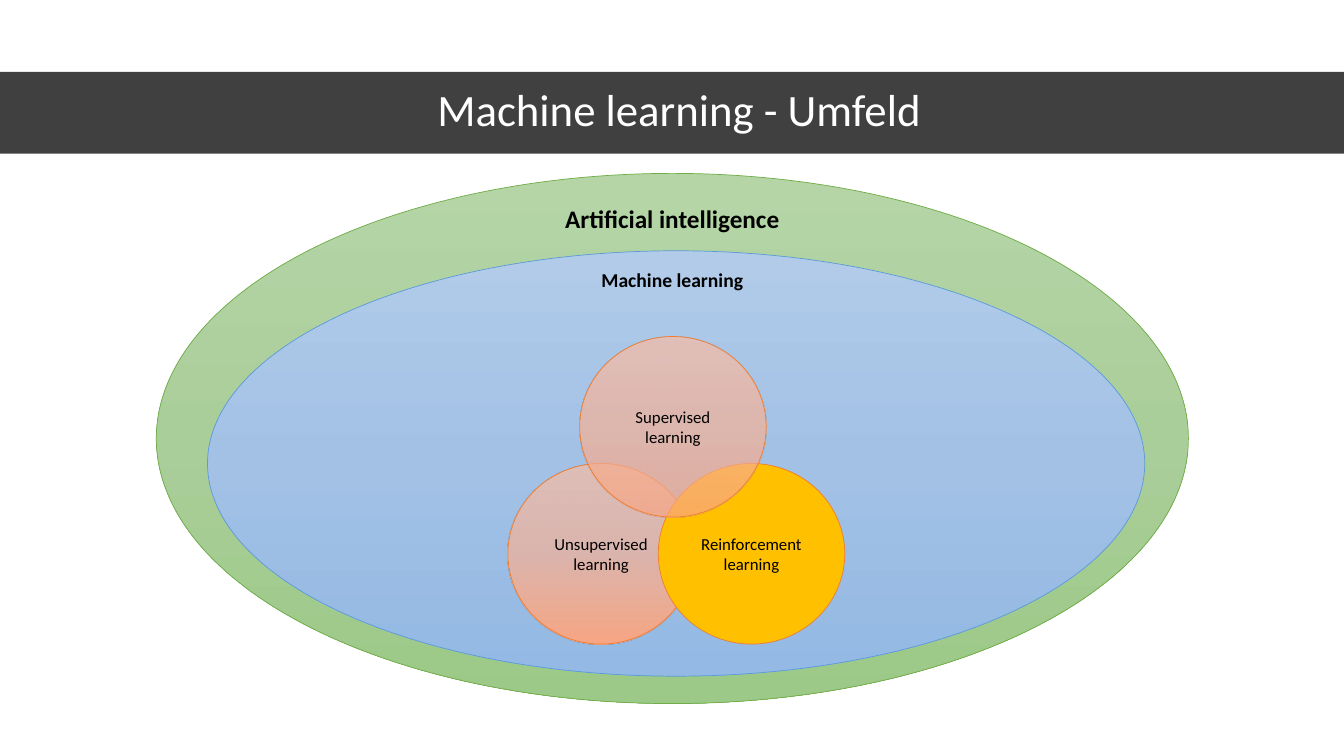
from dataclasses import dataclass
from typing import Optional

from lxml import etree
from pptx import Presentation
from pptx.dml.color import RGBColor
from pptx.enum import shapes, text
from pptx.oxml import ns
from pptx.util import Cm, Pt

COLORS = {
    "black": "000000", "white": "FFFFFF", "amber": "FFC000",
    "green": "70AD47", "blue": "5B9BD5", "orange": "ED7D31",
}
FONT = "Calibri"
CIRCLE_W, CIRCLE_H = 4.7, 4.55


@dataclass
class Stop:
    color: str
    opacity: int = 100


@dataclass
class Oval:
    left: float
    top: float
    width: float
    height: float
    line: str
    stops: list[Stop]
    label: str = ""


@dataclass
class Label:
    left: float
    top: float
    width: float
    height: float
    content: str
    size: int
    color: str = "black"
    bold: bool = False
    spacing: Optional[float] = None
    anchor: text.MSO_ANCHOR = text.MSO_ANCHOR.TOP


GREENS = [Stop("B5D5A7"), Stop("AACE9A"), Stop("9CC987")]
BLUES = [Stop("B1CBE9"), Stop("A3C1E5"), Stop("93B9E4")]
PEACH = [Stop("F7BDA5", 70), Stop("F5B196", 70)]

# Ovals from back to front, with their lengths in centimetres
FIELDS = [
    Oval(3.94, 4.37, 26.01, 13.36, "green", GREENS),
    Oval(5.23, 6.32, 23.62, 10.72, "blue", BLUES),
]
METHODS = [
    Oval(12.8, 11.68, CIRCLE_W, CIRCLE_H, "orange",
         PEACH + [Stop("F8A582")], "Unsupervised learning"),
    Oval(16.59, 11.68, CIRCLE_W, CIRCLE_H, "orange",
         [Stop(COLORS["amber"])], "Reinforcement learning"),
    Oval(14.61, 8.48, CIRCLE_W, CIRCLE_H, "orange",
         PEACH + [Stop("F8A582", 70)], "Supervised learning"),
]
LABELS = [
    Label(13.59, 5.0, 6.71, 1.02, "Artificial intelligence", 18, bold=True),
    Label(13.59, 6.63, 6.71, 0.86, "Machine learning", 14, bold=True),
    Label(1.55, 1.78, 31.14, 2.06, "Machine learning - Umfeld", 32, "white",
          spacing=0.9, anchor=text.MSO_ANCHOR.MIDDLE),
]


def set_opacity(color_element, opacity: int) -> None:
    if opacity < 100:
        etree.SubElement(color_element, ns.qn("a:alpha"), val=str(opacity * 1000))


def fill_shape(sp, stops: list[Stop]) -> None:
    """Fill with one solid colour, or with an even gradient from top to bottom."""
    if len(stops) == 1:
        sp.fill.solid()
        sp.fill.fore_color.rgb = RGBColor.from_string(stops[0].color)
        set_opacity(sp.fill._xPr.find(".//" + ns.qn("a:srgbClr")), stops[0].opacity)
        return
    sp.fill.gradient()
    grad = sp.fill._xPr.find(ns.qn("a:gradFill"))
    grad.find(ns.qn("a:lin")).set("ang", "5400000")
    stop_list = grad.find(ns.qn("a:gsLst"))
    for old in list(stop_list):
        stop_list.remove(old)
    for i, stop in enumerate(stops):
        pos = str(i * 100000 // (len(stops) - 1))
        gs = etree.SubElement(stop_list, ns.qn("a:gs"), pos=pos)
        clr = etree.SubElement(gs, ns.qn("a:srgbClr"), val=stop.color)
        set_opacity(clr, stop.opacity)


def write_text(sp, content: str, size: int, color: str = "black",
               bold: bool = False, spacing: Optional[float] = None,
               anchor: text.MSO_ANCHOR = text.MSO_ANCHOR.MIDDLE) -> None:
    tf = sp.text_frame
    tf.word_wrap = True
    tf.vertical_anchor = anchor
    p = tf.paragraphs[0]
    p.text = content
    p.alignment = text.PP_ALIGN.CENTER
    p.line_spacing = spacing
    p.font.name, p.font.size, p.font.bold = FONT, Pt(size), bold
    p.font.color.rgb = RGBColor.from_string(COLORS[color])


def add_oval(slide, oval: Oval) -> None:
    sp = slide.shapes.add_shape(
        shapes.MSO_SHAPE.OVAL, Cm(oval.left), Cm(oval.top),
        Cm(oval.width), Cm(oval.height))
    sp.shadow.inherit = False
    fill_shape(sp, oval.stops)
    sp.line.color.rgb = RGBColor.from_string(COLORS[oval.line])
    sp.line.width = Pt(0.5)
    if oval.label:
        write_text(sp, oval.label, 12)


def add_label(slide, label: Label) -> None:
    sp = slide.shapes.add_textbox(
        Cm(label.left), Cm(label.top), Cm(label.width), Cm(label.height))
    write_text(sp, label.content, label.size, label.color, label.bold,
               label.spacing, label.anchor)


def add_title_band(slide, width: int) -> None:
    sp = slide.shapes.add_shape(
        shapes.MSO_SHAPE.RECTANGLE, 0, Cm(1.81), width, Cm(2.06))
    sp.shadow.inherit = False
    fill_shape(sp, [Stop(COLORS["black"], 75)])
    sp.line.fill.background()


def main() -> None:
    prs = Presentation()
    prs.slide_width, prs.slide_height = Cm(33.87), Cm(19.05)
    slide = prs.slides.add_slide(prs.slide_layouts[6])

    # Nested fields and the three learning methods
    for oval in FIELDS + METHODS:
        add_oval(slide, oval)

    # Title band, field names and title
    add_title_band(slide, prs.slide_width)
    for label in LABELS:
        add_label(slide, label)

    prs.save("out.pptx")


if __name__ == "__main__":
    main()
